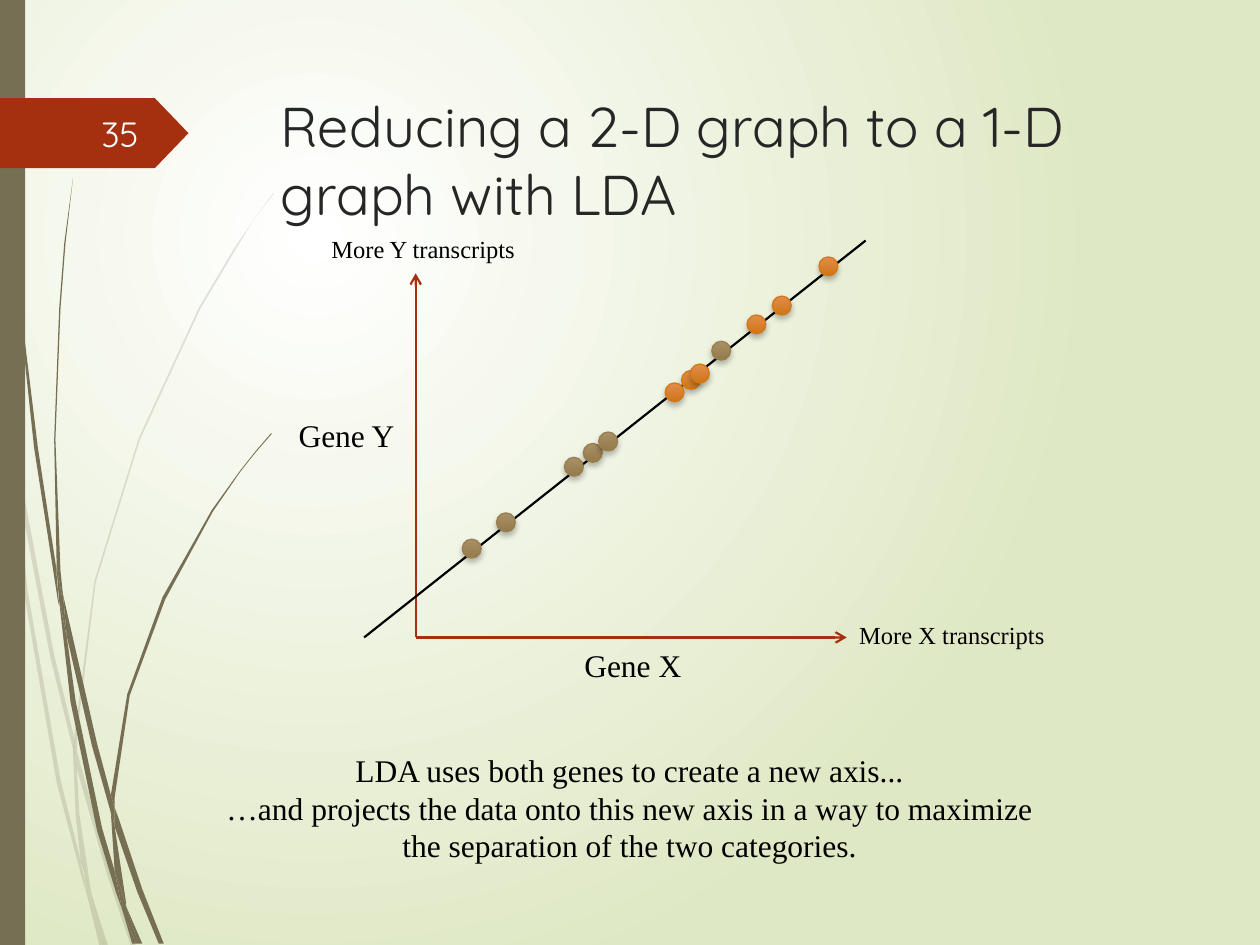
from lxml.etree import SubElement
from pptx import Presentation
from pptx.dml.color import RGBColor
from pptx.enum.shapes import MSO_CONNECTOR as Connector, MSO_SHAPE as Preset
from pptx.enum.text import MSO_ANCHOR as Anchor, MSO_AUTO_SIZE as AutoSize, PP_ALIGN as Align
from pptx.oxml.ns import qn
from pptx.util import Cm, Pt

THEME = {
    "colors": {
        "olive": "766F54", "red": "A53010", "black": "000000", "title": "262626",
        "white": "FEFFFF", "glow": "FFFFFF", "meadow": "DFE8C4",
    },
    "dots": {"brown": ("A89068", "947A4B", "987D4D"), "orange": ("E18D4C", "CF7516", "D47817")},
    "sizes": {"title": 32, "number": 20, "body": 18, "label": 14},
    "fonts": {"heading": "Quicksand", "body": "Times New Roman"},
    "wisp_alpha": 20, "line": 1.25, "dot_line": 0.75,
}

TEXTS = [
    {"lines": ["Reducing a 2-D graph to a 1-D graph with LDA"], "box": (5.41, 1.73, 18.31, 3.56),
     "size": "title", "ink": "title", "font": "heading"},
    {"lines": ["More X transcripts"], "box": (17.07, 12.37, 4.27, 0.86), "size": "label", "wrap": False},
    {"lines": ["More Y transcripts"], "box": (6.43, 4.6, 4.37, 0.86), "size": "label", "wrap": False},
    {"lines": ["Gene Y"], "box": (5.77, 8.26, 2.46, 1.02), "wrap": False},
    {"lines": ["Gene X"], "box": (11.53, 12.9, 2.49, 1.02), "wrap": False},
    {"lines": ["LDA uses both genes to create a new axis...",
               "…and projects the data onto this new axis in a way to maximize "
               "the separation of the two categories."],
     "box": (4.11, 15.01, 17.17, 2.57), "align": Align.CENTER},
    {"lines": ["35"], "box": (1.42, 2.18, 1.63, 1.02), "size": "number", "ink": "white",
     "font": "heading", "align": Align.RIGHT, "anchor": Anchor.MIDDLE},
]

ORIGIN = (8.38, 12.85)
LINES = [
    (ORIGIN, (8.38, 5.51), "red", True),
    (ORIGIN, (17.07, 12.85), "red", True),
    ((7.34, 12.85), (17.45, 4.85), "black", False),
]

DOT_SIZE = 0.38
DOTS = {
    "brown": [(11.76, 8.94), (11.38, 9.22), (12.07, 8.71), (14.35, 6.88), (9.32, 10.87), (10.01, 10.34)],
    "orange": [(15.57, 5.97), (15.06, 6.35), (13.74, 7.47), (13.41, 7.72), (13.92, 7.34), (16.51, 5.18)],
}

WISP_UNIT = Cm(0.0254)
PALE_WISPS = [
    "8,350 6,322 0,282 0,299 7,344",
    "40,522 59,599 59,586 43,520 10,345 12,376",
    "64,607 61,596 61,610 85,694 104,751 108,751 88,692",
    "83,751 86,751 73,711",
    "64,683 48,619 22,469 12,376 8,350 19,470 45,621 64,693 70,714 69,707",
    "58,599 60,646 64,683 67,692 73,711 72,706 63,646 61,610 61,608",
    "61,584 76,462 111,349 159,245 187,198 201,175 217,154 217,153 201,175 186,197 158,244 110,348 "
    "75,461 59,584 59,586 61,596",
    "70,714 79,751 82,751",
    "61,608 61,610 61,596 59,586 58,599",
    "67,692 65,683 69,707 70,714 82,751 83,751 73,711",
]
DARK_WISPS = [
    "5,110 14,233 27,355 46,477 47,481 45,457 45,453 30,355 15,232 6,109 4,48 3,0 2,0 3,48",
    "73,592 88,645 88,633 88,631 77,590 50,472 53,505",
    "94,649 91,641 91,656 109,708 126,749 130,749 113,706",
    "91,691 81,657 60,556 53,505 47,477 56,557 77,659 92,708 97,722 96,717",
    "50,472 48,453 44,349 48,245 52,193 58,141 51,193 47,245 43,349 45,449 49,472",
    "110,749 113,749 100,719",
    "47,477 53,505 50,472 49,472 45,449 45,453",
    "91,633 103,552 131,476 169,406 191,374 203,359 216,344 215,344 203,358 191,373 168,405 129,474 "
    "101,551 88,631 91,641",
    "97,722 105,749 108,749",
    "88,645 91,691 96,706 100,719 100,716 91,656 90,651",
    "88,645 90,651 91,656 91,641 88,631 88,633",
    "96,706 91,691 96,717 97,722 108,749 110,749 100,719",
]


def color(name):
    return RGBColor.from_string(THEME["colors"].get(name, name))


def fill_plain(shape, name):
    shape.shadow.inherit = False
    shape.fill.solid()
    shape.fill.fore_color.rgb = color(name)
    shape.line.fill.background()


def set_gradient(fill, names):
    fill.gradient()
    for stop, name, position in zip(fill.gradient_stops, names, (0, 1)):
        stop.color.rgb = color(name)
        stop.position = position


def paint_background(slide):
    set_gradient(slide.background.fill, ("glow", "meadow"))
    gradient = slide.element.find(".//" + qn("a:gradFill"))
    gradient.remove(gradient.find(qn("a:lin")))
    circle = SubElement(gradient, qn("a:path"), {"path": "circle"})
    SubElement(circle, qn("a:fillToRect"), {"l": "50000", "t": "50000", "r": "100000", "b": "100000"})


def add_wisps(slide, outlines, alpha=None):
    group = slide.shapes.add_group_shape()
    for outline in outlines:
        points = [tuple(map(int, pair.split(","))) for pair in outline.split()]
        builder = group.shapes.build_freeform(*points[0], scale=WISP_UNIT)
        builder.add_line_segments(points[1:], close=True)
        shape = builder.convert_to_shape()
        fill_plain(shape, "olive")
        if alpha:
            SubElement(shape.element.find(".//" + qn("a:srgbClr")), qn("a:alpha"), {"val": str(alpha * 1000)})


def add_line(slide, start, end, name, arrow):
    connector = slide.shapes.add_connector(Connector.STRAIGHT, *map(Cm, start + end))
    connector.line.color.rgb = color(name)
    connector.line.width = Pt(THEME["line"])
    properties = connector.element.spPr
    if arrow:
        SubElement(properties.find(qn("a:ln")), qn("a:tailEnd"), {"type": "arrow"})
    SubElement(properties, qn("a:effectLst"))


def add_dot(slide, left, top, kind):
    shape = slide.shapes.add_shape(Preset.OVAL, Cm(left), Cm(top), Cm(DOT_SIZE), Cm(DOT_SIZE))
    light, dark, edge = THEME["dots"][kind]
    set_gradient(shape.fill, (light, dark))
    shape.fill.gradient_angle = 270
    shape.line.color.rgb = color(edge)
    shape.line.width = Pt(THEME["dot_line"])
    shape.shadow.inherit = False
    shadow = SubElement(shape.element.spPr.find(qn("a:effectLst")), qn("a:outerShdw"),
                        {"blurRad": str(Pt(3)), "dist": str(Pt(2)), "dir": "5400000", "rotWithShape": "0"})
    shade = SubElement(shadow, qn("a:srgbClr"), {"val": THEME["colors"]["black"]})
    SubElement(shade, qn("a:alpha"), {"val": "25000"})


def add_text(slide, lines, box, size="body", ink="black", font="body", wrap=True,
             align=Align.LEFT, anchor=Anchor.TOP):
    text_frame = slide.shapes.add_textbox(*map(Cm, box)).text_frame
    text_frame.text = "\n".join(lines)
    text_frame.word_wrap = wrap
    text_frame.auto_size = AutoSize.SHAPE_TO_FIT_TEXT if font == "body" else AutoSize.NONE
    text_frame.vertical_anchor = anchor
    for paragraph in text_frame.paragraphs:
        paragraph.alignment = align
        for run in paragraph.runs:
            run.font.name = THEME["fonts"][font]
            run.font.size = Pt(THEME["sizes"][size])
            run.font.color.rgb = color(ink)


def main():
    """Build the slide on reducing a two-gene graph to one LDA axis."""
    presentation = Presentation()
    presentation.slide_width, presentation.slide_height = Cm(25.4), Cm(19.05)
    slide = presentation.slides.add_slide(presentation.slide_layouts[6])
    paint_background(slide)
    add_wisps(slide, PALE_WISPS, THEME["wisp_alpha"])
    add_wisps(slide, DARK_WISPS)
    fill_plain(slide.shapes.add_shape(Preset.RECTANGLE, 0, 0, Cm(0.51), Cm(19.05)), "olive")
    badge = slide.shapes.add_shape(Preset.PENTAGON, 0, Cm(1.98), Cm(3.8), Cm(1.41))
    badge.adjustments[0] = 0.48
    fill_plain(badge, "red")
    for line in LINES:
        add_line(slide, *line)
    for kind, positions in DOTS.items():
        for left, top in positions:
            add_dot(slide, left, top, kind)
    for text in TEXTS:
        add_text(slide, **text)
    presentation.save("out.pptx")


if __name__ == "__main__":
    main()
